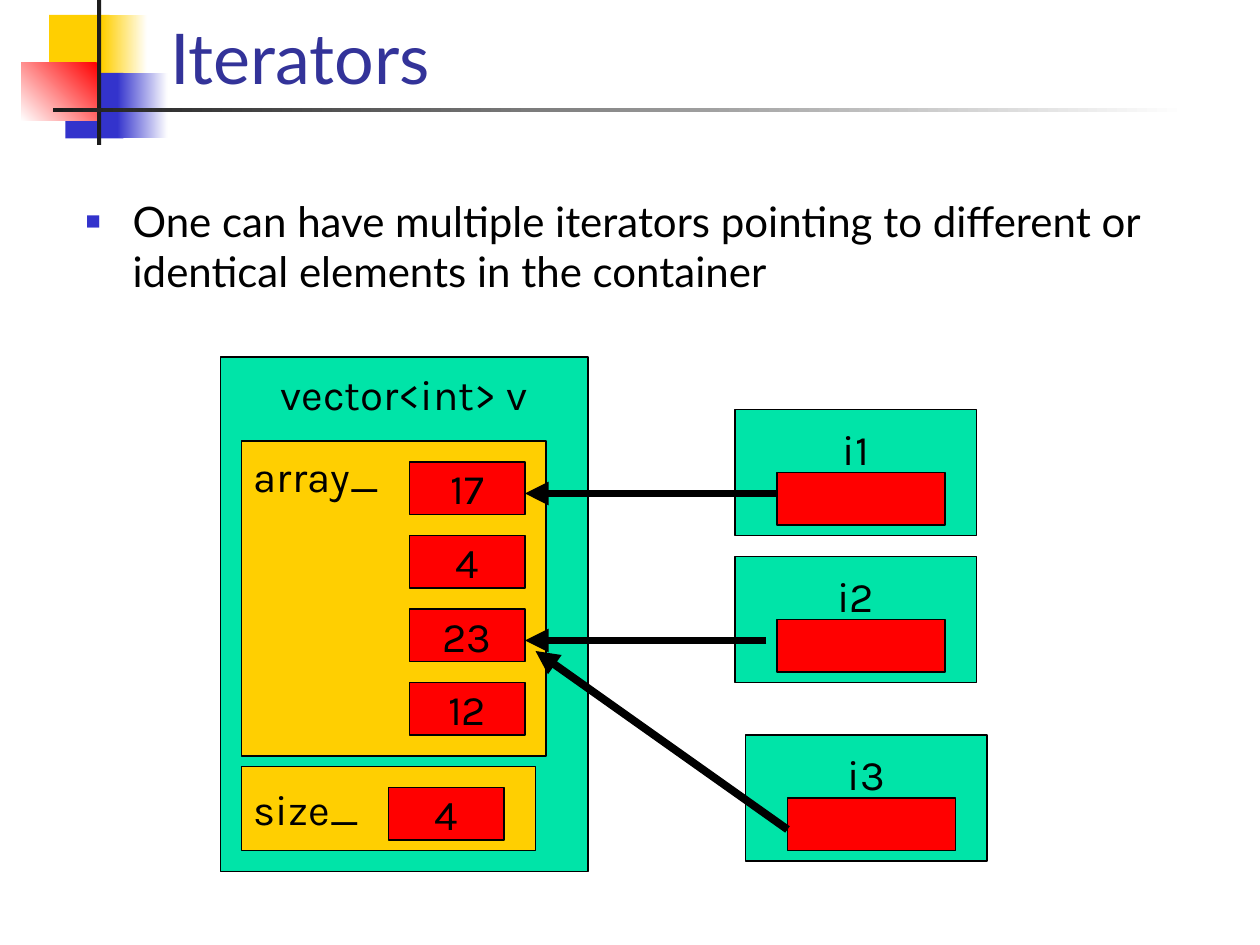
"""Build a slide showing several iterators pointing into one vector."""
from lxml.etree import SubElement
from pptx import Presentation
from pptx.dml.color import RGBColor as RGB
from pptx.enum.shapes import MSO_CONNECTOR as LINE, MSO_SHAPE as SHAPE
from pptx.enum.text import MSO_ANCHOR as ANCHOR, MSO_AUTO_SIZE as FIT, PP_ALIGN as ALIGN
from pptx.oxml.ns import qn
from pptx.util import Cm, Pt

THEME = {
    "text_font": "Lato", "code_font": "Karla",
    "title_size": 40, "body_size": 24, "outline": 0.75, "arrow": 4.5,
    "title": "333399", "ink": "000000", "white": "FFFFFF", "dark": "1C1C1C",
    "blue": "3333CC", "red": "FF0000", "gold": "FFCF01", "green": "00E4A8",
}

TITLE = "Iterators"
TITLE_BOX = (3.18, -1.07, 21.64, 3.18)
BULLET = "One can have multiple iterators pointing to different or identical elements in the container"
BODY_BOX = (1.47, 3.81, 23.39, 13.23)

DECOR = [
    ((0.99, 0.3, 1.22, 1.32), "gold", None),
    ((2.06, 0.3, 0.91, 1.32), "gold", 0),
    ((1.32, 1.47, 1.17, 1.32), "blue", None),
    ((2.36, 1.47, 1.02, 1.32), "blue", 0),
    ((0.43, 1.27, 1.55, 1.17), "red", 225),
    ((1.96, 0, 0.08, 2.92), "dark", None),
    ((1.07, 2.18, 22.86, 0.08), "dark", 0),
]

GRID = 2.54 / 12
VECTOR = ("vector<int> v", (21, 34, 35, 49))
ARRAY = ("array_", (23, 42, 29, 30))
SIZE = ("size_", (23, 73, 28, 8))
CELL = (11, 5)
VALUES = ["17", "4", "23", "12"]
FIRST_CELL, CELL_STEP = (39, 44), 7
SIZE_VALUE, SIZE_CELL = "4", (37, 75)
ITERATORS = [
    ("i3", (71, 70), (75, 79), (51, 62)),
    ("i1", (70, 39), (74, 47), (50, 47)),
    ("i2", (70, 53), (73, 61), (50, 61)),
]


def color(name):
    return RGB.from_string(THEME[name])


def style(p, font, size, name):
    for r in p.runs:
        r.font.name, r.font.size = font, Pt(size)
        r.font.color.rgb = color(name)


def place(sp, box):
    sp.left, sp.top, sp.width, sp.height = map(Cm, box)


def add_decor(s, layout):
    for i, (box, name, angle) in enumerate(DECOR):
        sp = s.shapes.add_shape(SHAPE.RECTANGLE, *map(Cm, box))
        sp.shadow.inherit = False
        sp.line.fill.background()
        if angle is None:
            sp.fill.solid()
            sp.fill.fore_color.rgb = color(name)
        else:
            sp.fill.gradient()
            sp.fill.gradient_angle = angle
            for stop, stop_name in zip(sp.fill.gradient_stops, (name, "white")):
                stop.color.rgb = color(stop_name)
        sp.element.nvSpPr.cNvPr.id = 20 + i
        layout.shapes.element.insert(2 + i, sp.element)


def add_heading(s):
    title, body = s.placeholders[0], s.placeholders[1]
    for sp, box, text, anchor, size, name in (
        (title, TITLE_BOX, TITLE, ANCHOR.BOTTOM, "title_size", "title"),
        (body, BODY_BOX, BULLET, ANCHOR.TOP, "body_size", "ink"),
    ):
        place(sp, box)
        tf = sp.text_frame
        tf.text = text
        tf.auto_size, tf.vertical_anchor = FIT.NONE, anchor
        tf.paragraphs[0].alignment = ALIGN.LEFT
        style(tf.paragraphs[0], THEME["text_font"], THEME[size], name)
    p = body.text_frame.paragraphs[0]
    p.space_before = Pt(6)
    pPr = p._p.get_or_add_pPr()
    pPr.set("marL", str(Cm(0.95)))
    pPr.set("indent", str(-Cm(0.95)))
    SubElement(SubElement(pPr, qn("a:buClr")), qn("a:srgbClr"), val=THEME["blue"])
    SubElement(pPr, qn("a:buSzPct"), val="60000")
    SubElement(pPr, qn("a:buFont"), typeface="Arial")
    SubElement(pPr, qn("a:buChar"), char="■")


def add_box(s, box, fill, text="", align=ALIGN.CENTER, top=None):
    sp = s.shapes.add_shape(SHAPE.RECTANGLE, *(Cm(n * GRID) for n in box))
    sp.shadow.inherit = False
    sp.fill.solid()
    sp.fill.fore_color.rgb = color(fill)
    sp.line.color.rgb = color("ink")
    sp.line.width = Pt(THEME["outline"])
    if text:
        tf = sp.text_frame
        tf.text, tf.word_wrap = text, True
        tf.vertical_anchor = ANCHOR.MIDDLE if top is None else ANCHOR.TOP
        if top is not None:
            tf.margin_top = Cm(top)
        tf.paragraphs[0].alignment = align
        style(tf.paragraphs[0], THEME["code_font"], THEME["body_size"], "ink")


def add_arrow(s, start, end):
    c = s.shapes.add_connector(LINE.STRAIGHT, *(Cm(n * GRID) for n in start + end))
    c.line.color.rgb = color("ink")
    c.line.width = Pt(THEME["arrow"])
    SubElement(c.line._get_or_add_ln(), qn("a:tailEnd"), type="triangle")
    SubElement(c.element.spPr, qn("a:effectLst"))


def add_vector(s):
    text, box = VECTOR
    add_box(s, box, "green", text, top=0.23)
    text, box = ARRAY
    add_box(s, box, "gold", text, ALIGN.LEFT, top=0.2)
    x, y = FIRST_CELL
    for i, value in enumerate(VALUES):
        add_box(s, (x, y + i * CELL_STEP, *CELL), "red", value)
    text, box = SIZE
    add_box(s, box, "gold", text, ALIGN.LEFT)
    add_box(s, (*SIZE_CELL, *CELL), "red", SIZE_VALUE)


def add_iterators(s):
    for name, (x, y), start, end in ITERATORS:
        add_box(s, (x, y, 23, 12), "green", name, top=0.28)
        add_box(s, (x + 4, y + 6, 16, 5), "red")
        add_arrow(s, start, end)


def main():
    prs = Presentation()
    prs.slide_width, prs.slide_height = Cm(25.4), Cm(19.05)
    layout = prs.slide_layouts[1]
    s = prs.slides.add_slide(layout)
    add_decor(s, layout)
    add_heading(s)
    add_vector(s)
    add_iterators(s)
    prs.save("out.pptx")


if __name__ == "__main__":
    main()
